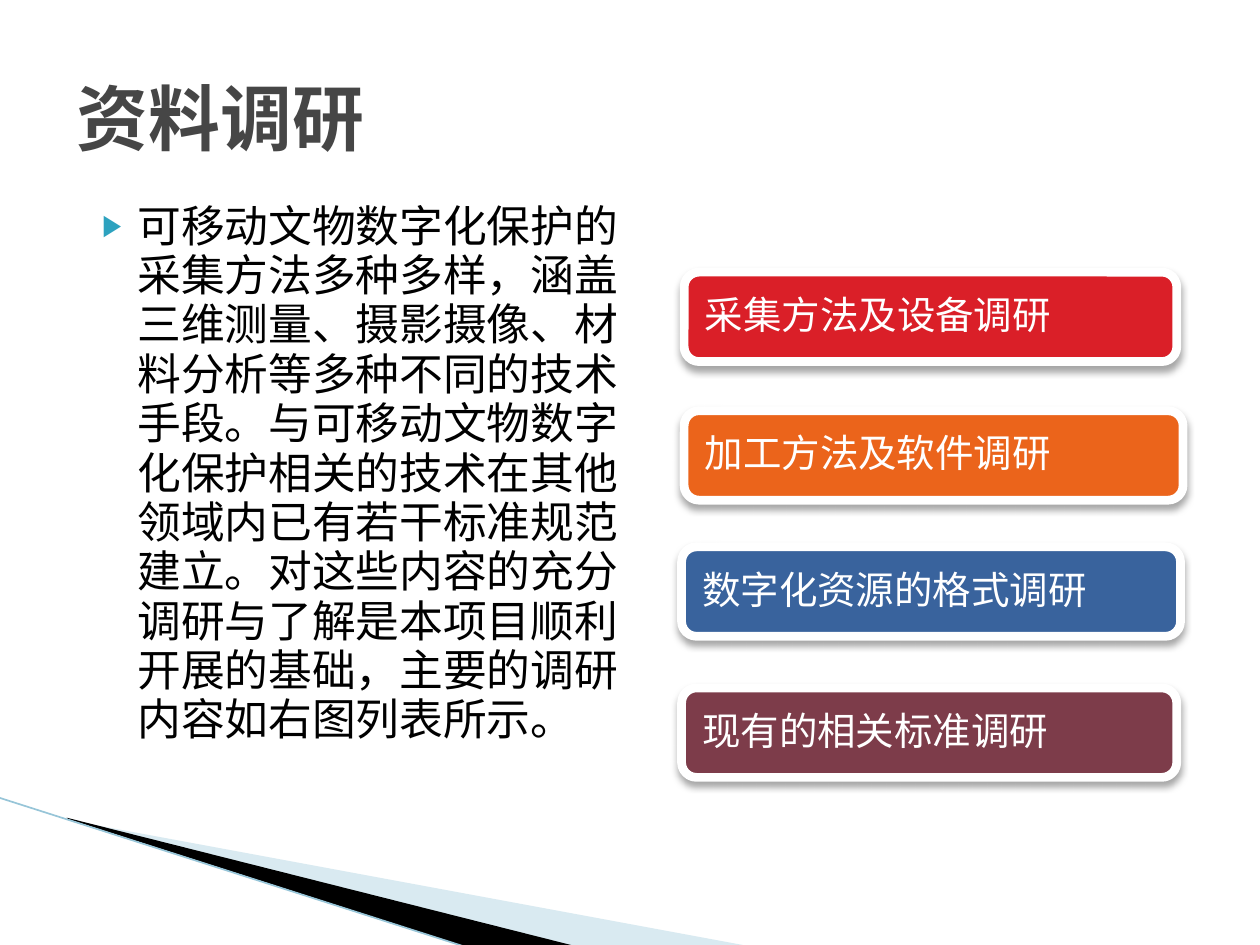
from lxml import etree
from pptx import Presentation
from pptx import util as u
from pptx.dml.color import RGBColor
from pptx.enum import shapes, text
from pptx.oxml import ns

FONT = "Noto Sans Mono"
COLORS = {
    "title": "464646", "body": "000000", "bullet": "2DA2BF", "white": "FFFFFF",
    "pale": "A0CBDC", "black": "000000", "edge": "97C5D8",
    "red": "DA1F28", "orange": "EB641B", "blue": "39639D", "plum": "7D3C4A",
}
BODY = (
    "可移动文物数字化保护的采集方法多种多样，涵盖三维测量、摄影摄像、材料分析等多种不同的技术手段。"
    "与可移动文物数字化保护相关的技术在其他领域内已有若干标准规范建立。"
    "对这些内容的充分调研与了解是本项目顺利开展的基础，主要的调研内容如右图列表所示。"
)
TOPICS = [
    ("采集方法及设备调研", "red", (5.43, 2.16, 3.91, 0.71)),
    ("加工方法及软件调研", "orange", (5.43, 3.26, 3.96, 0.71)),
    ("数字化资源的格式调研", "blue", (5.41, 4.34, 3.96, 0.71)),
    ("现有的相关标准调研", "plum", (5.41, 5.46, 3.93, 0.71)),
]


def rgb(name):
    """Return the named palette colour."""
    return RGBColor.from_string(COLORS[name])


def inches(values):
    """Convert a sequence of numbers to lengths."""
    return [u.Inches(value) for value in values]


def add_xml(parent, tag, **attributes):
    """Append a DrawingML element to a parent and return it."""
    return etree.SubElement(parent, ns.qn(tag), attributes)


def paint(part, color, opacity=None):
    """Give a shape a flat fill without outline or shadow."""
    part.shadow.inherit = False
    part.fill.solid()
    part.fill.fore_color.rgb = rgb(color)
    part.line.fill.background()
    if opacity:
        fill_color = part.fill._xPr.find(".//" + ns.qn("a:srgbClr"))
        add_xml(fill_color, "a:alpha", val=str(opacity * 1000))


def write(frame, words, size, color, bold=False):
    """Set one paragraph of formatted text and return it."""
    frame.text = words
    frame.word_wrap = True
    paragraph = frame.paragraphs[0]
    for run in paragraph.runs:
        run.font.size = u.Pt(size)
        run.font.name = FONT
        run.font.bold = bold
        run.font.color.rgb = rgb(color)
        add_xml(run.font._element, "a:ea", typeface=FONT)
    return paragraph


def place(part, box):
    """Move a placeholder to the given box."""
    part.left, part.top, part.width, part.height = inches(box)


def add_corner(slide):
    """Draw the pointed bands in the lower left corner."""
    bands = [
        ("pale", 40, [(0.55, 6.51), (5.95, 7.51), (4.56, 7.51), (0.55, 6.5)]),
        ("black", None, [(0.53, 6.49), (4.57, 7.51), (3.72, 7.52), (0.54, 6.5)]),
    ]
    for color, opacity, points in bands:
        start, *others = [inches(point) for point in points]
        outline = slide.shapes.build_freeform(*start)
        outline.add_line_segments(others, close=True)
        paint(outline.convert_to_shape(), color, opacity)
    edge = slide.shapes.add_connector(
        shapes.MSO_CONNECTOR.STRAIGHT, *inches((-0.01, 6.33, 3.71, 7.52)))
    edge.line.color.rgb = rgb("edge")
    edge.line.width = u.Pt(0.95)
    add_xml(edge._element.spPr, "a:effectLst")


def add_title(slide, box):
    """Fill the title placeholder."""
    title = slide.shapes.title
    place(title, box)
    title.text_frame.vertical_anchor = text.MSO_ANCHOR.MIDDLE
    heading = write(title.text_frame, "资料调研", 41, "title", True)
    heading.alignment = text.PP_ALIGN.LEFT


def add_body(slide, box):
    """Fill the body placeholder with one bulleted paragraph."""
    body = slide.placeholders[1]
    place(body, box)
    body.text_frame.margin_right = u.Inches(0.05)
    summary = write(body.text_frame, BODY, 25, "body")
    summary.line_spacing = u.Pt(28.2)
    summary.space_before = u.Pt(4)
    layout = summary._p.get_or_add_pPr()
    layout.set("marL", str(u.Inches(0.4)))
    layout.set("indent", str(u.Inches(-0.28)))
    add_xml(add_xml(layout, "a:buClr"), "a:srgbClr", val=COLORS["bullet"])
    add_xml(layout, "a:buSzPct", val="68000")
    add_xml(layout, "a:buChar", char="▶")


def add_topic(slide, words, color, box):
    """Draw one topic label over its pale backing strip."""
    strip = slide.shapes.add_shape(
        shapes.MSO_SHAPE.RECTANGLE, *inches((5.17, box[1] + 0.38, 4.83, 0.61)))
    paint(strip, "white", 90)
    label = slide.shapes.add_shape(
        shapes.MSO_SHAPE.ROUNDED_RECTANGLE, *inches(box))
    paint(label, color)
    label.line.color.rgb = rgb("white")
    label.line.width = u.Pt(5)
    effects = label._element.spPr.find(ns.qn("a:effectLst"))
    shadow = add_xml(effects, "a:outerShdw", blurRad=str(u.Pt(4)),
                     dist=str(u.Pt(3)), dir="5400000", rotWithShape="0")
    add_xml(add_xml(shadow, "a:srgbClr", val=COLORS["black"]),
            "a:alpha", val="35000")
    frame = label.text_frame
    frame.margin_left = frame.margin_right = u.Inches(0.13)
    frame.margin_top = frame.margin_bottom = 0
    frame.vertical_anchor = text.MSO_ANCHOR.MIDDLE
    topic = write(frame, words, 22, "white")
    topic.alignment = text.PP_ALIGN.LEFT
    topic.line_spacing = 0.9


def main():
    """Build and save the slide."""
    deck = Presentation()
    deck.slide_width, deck.slide_height = inches((10, 7.5))
    slide = deck.slides.add_slide(deck.slide_layouts[1])
    add_corner(slide)
    for words, color, box in TOPICS:
        add_topic(slide, words, color, box)
    add_body(slide, (0.59, 1.55, 4.42, 4.95))
    add_title(slide, (0.51, 0.3, 9, 1.25))
    deck.save("out.pptx")


if __name__ == "__main__":
    main()
